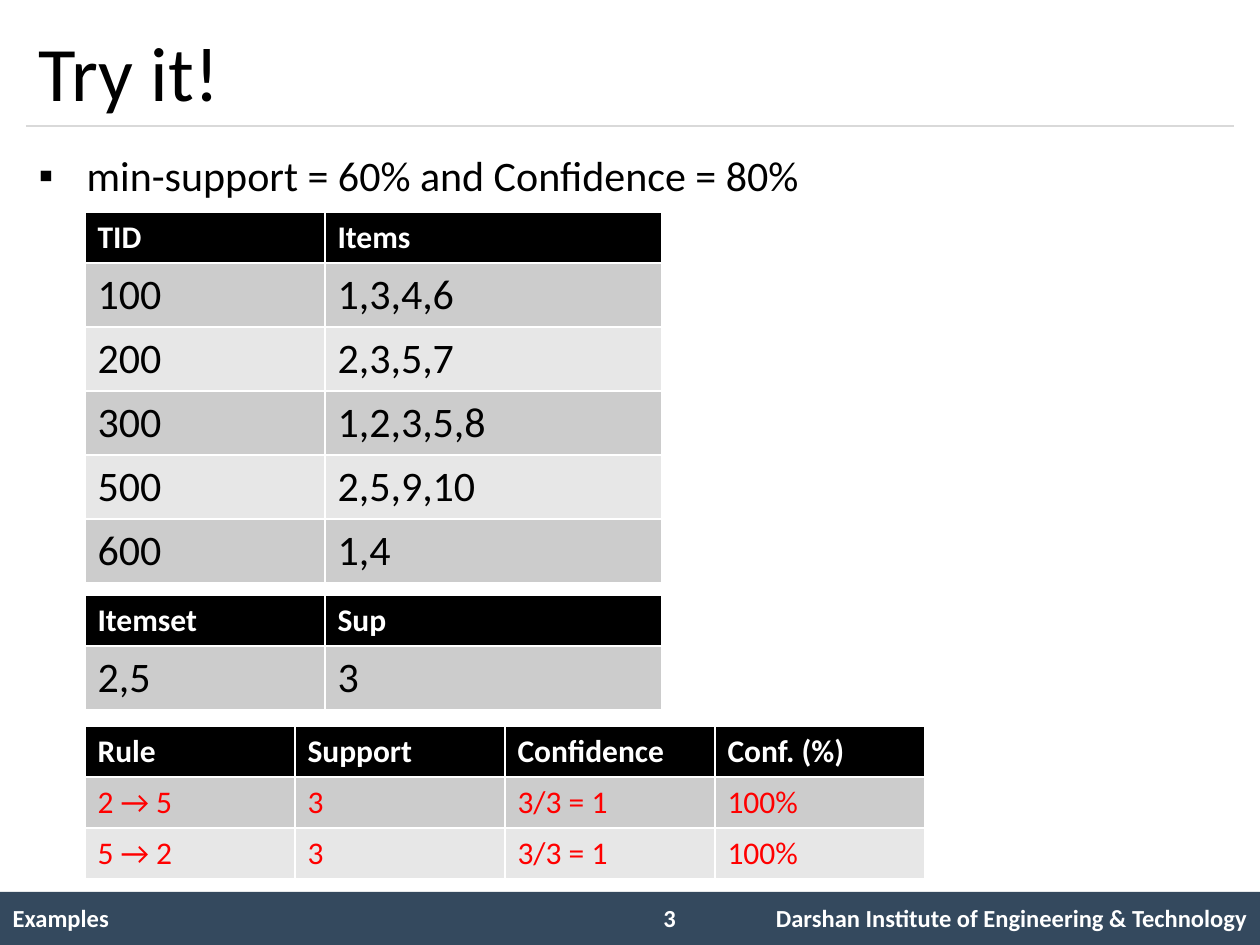
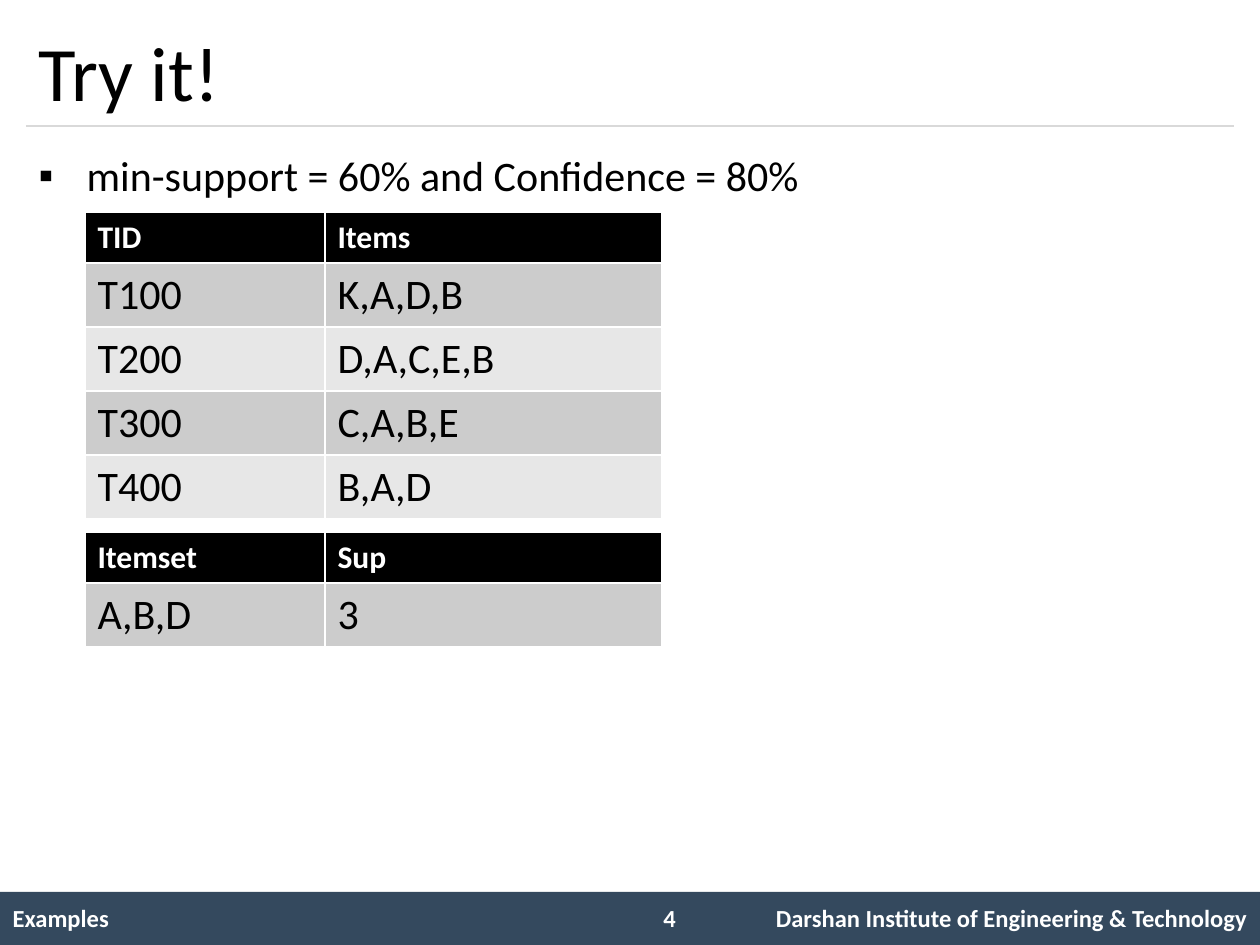
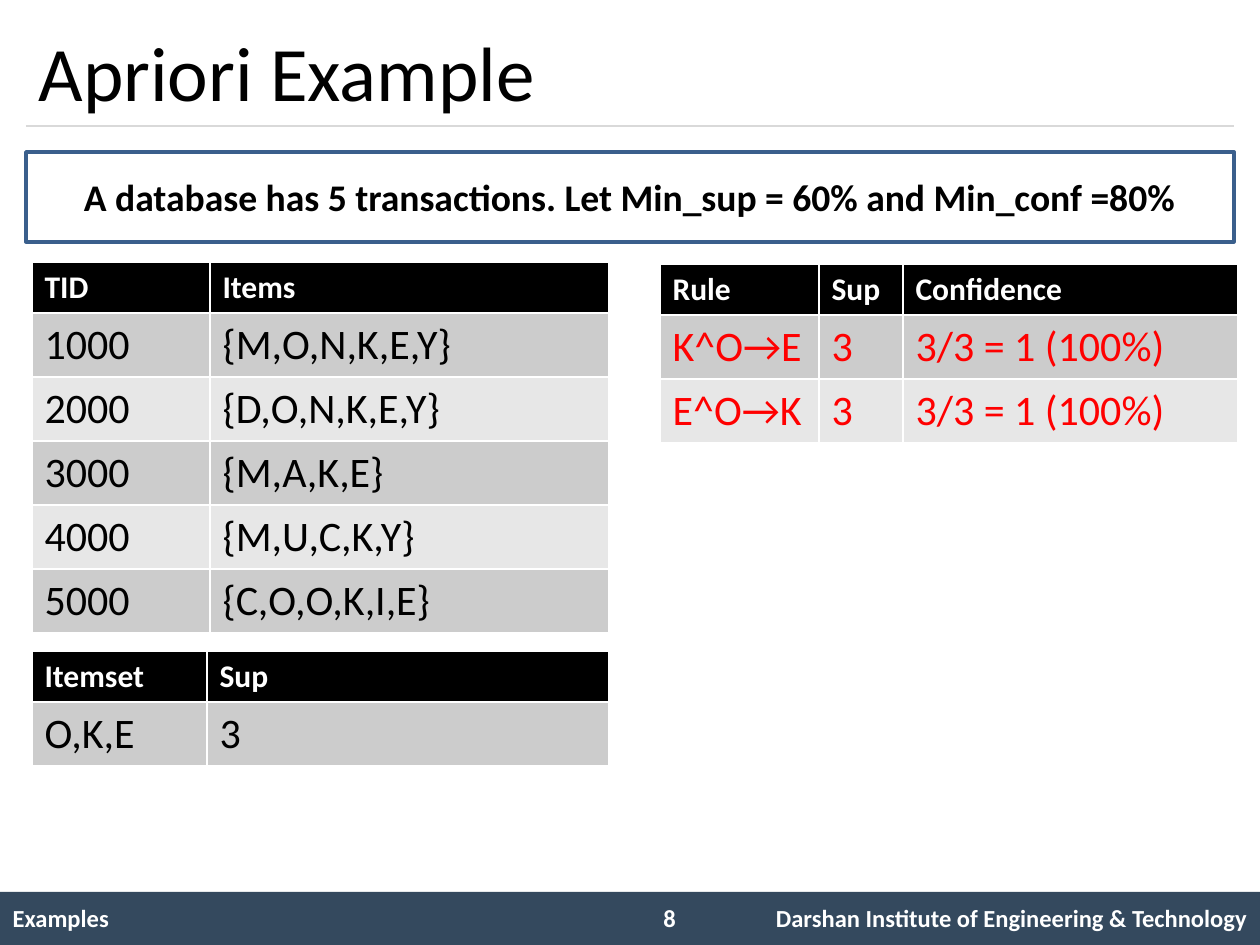
from pptx import Presentation
from pptx.dml.color import RGBColor
from pptx.enum.shapes import MSO_CONNECTOR as CONN, MSO_SHAPE as SHAPE
from pptx.enum.text import MSO_ANCHOR as ANCHOR, PP_ALIGN as ALIGN
from pptx.oxml.ns import qn
from pptx.util import Pt
from lxml.etree import SubElement

PX = 914400 // 126
FONT = "Calibri"
BLACK, WHITE, RED = "000000", "FFFFFF", "FF0000"
BAND, RULE, BOX_LINE = "34495E", "D9D9D9", "3A5F8C"
ROW_FILLS = ("E7E7E7", "CCCCCC")
NO_STYLE = "{2D5ABB26-0587-4C30-8999-92F81FD0307C}"
ROW_HEIGHT = {18: 51, 24: 64}

FOOTER = ("Examples", "", "Darshan Institute of Engineering & Technology")
FOOTER_COLS = (640, 84, 536)
THRESHOLDS = "min-support = 60% and Confidence = 80%"
WIDE = (240, 337)

SLIDES = [
    {"title": "Try it!", "number": 3, "bullet": THRESHOLDS, "tables": [
        {"at": (85, 212), "cols": WIDE, "rows": [
            ("TID", "Items"), ("100", "1,3,4,6"), ("200", "2,3,5,7"),
            ("300", "1,2,3,5,8"), ("500", "2,5,9,10"), ("600", "1,4")]},
        {"at": (85, 595), "cols": WIDE, "rows": [("Itemset", "Sup"), ("2,5", "3")]},
        {"at": (85, 726), "cols": (210,) * 4, "size": 18, "color": RED, "rows": [
            ("Rule", "Support", "Confidence", "Conf. (%)"),
            ("2 → 5", "3", "3/3 = 1", "100%"),
            ("5 → 2", "3", "3/3 = 1", "100%")]},
    ]},
    {"title": "Try it!", "number": 4, "bullet": THRESHOLDS, "tables": [
        {"at": (85, 212), "cols": WIDE, "rows": [
            ("TID", "Items"), ("T100", "K,A,D,B"), ("T200", "D,A,C,E,B"),
            ("T300", "C,A,B,E"), ("T400", "B,A,D")]},
        {"at": (85, 532), "cols": WIDE, "rows": [("Itemset", "Sup"), ("A,B,D", "3")]},
    ]},
    {"title": "Apriori Example", "number": 8,
     "box": "A database has 5 transactions. Let Min_sup = 60% and Min_conf =80%", "tables": [
        {"at": (32, 262), "cols": (178, 399), "rows": [
            ("TID", "Items"), ("1000", "{M,O,N,K,E,Y}"), ("2000", "{D,O,N,K,E,Y}"),
            ("3000", "{M,A,K,E}"), ("4000", "{M,U,C,K,Y}"), ("5000", "{C,O,O,K,I,E}")]},
        {"at": (32, 651), "cols": (175, 402), "rows": [("Itemset", "Sup"), ("O,K,E", "3")]},
        {"at": (660, 264), "cols": (159, 84, 335), "color": RED, "rows": [
            ("Rule", "Sup", "Confidence"),
            ("K^O→E", "3", "3/3 = 1 (100%)"),
            ("E^O→K", "3", "3/3 = 1 (100%)")]},
    ]},
]


def px(*values):
    return [v * PX for v in values]


def rgb(color):
    return RGBColor.from_string(color)


def write(tf, text, size, color, bold=False, align=ALIGN.LEFT):
    p = tf.paragraphs[0]
    p.alignment = align
    r = p.add_run()
    r.text = text
    r.font.name, r.font.size, r.font.bold = FONT, Pt(size), bold
    r.font.color.rgb = rgb(color)
    return p


def place(sp, *box):
    sp.left, sp.top, sp.width, sp.height = px(*box)


def add_rect(slide, box, fill, line=None):
    sp = slide.shapes.add_shape(SHAPE.RECTANGLE, *px(*box))
    sp.shadow.inherit = False
    sp.fill.solid()
    sp.fill.fore_color.rgb = rgb(fill)
    if line:
        sp.line.color.rgb = rgb(line)
        sp.line.width = Pt(2)
    else:
        sp.line.fill.background()
    return sp


def add_grid(slide, at, cols, heights):
    frame = slide.shapes.add_table(
        len(heights), len(cols), *px(*at, sum(cols), sum(heights)))
    table = frame.table
    for column, width in zip(table.columns, cols):
        column.width = width * PX
    for row, height in zip(table.rows, heights):
        row.height = height * PX
    return table


def add_data_table(slide, at, cols, rows, size=24, color=BLACK):
    heights = [ROW_HEIGHT[18]] + [ROW_HEIGHT[size]] * (len(rows) - 1)
    table = add_grid(slide, at, cols, heights)
    for i, row in enumerate(rows):
        for j, text in enumerate(row):
            cell = table.cell(i, j)
            cell.fill.solid()
            cell.fill.fore_color.rgb = rgb(ROW_FILLS[i % 2] if i else BLACK)
            if i:
                write(cell.text_frame, text, size, color)
            else:
                write(cell.text_frame, text, 18, WHITE, True)


def add_footer(slide, number):
    add_rect(slide, (0, 892, 1260, 53), BAND)
    table = add_grid(slide, (0, 892), FOOTER_COLS, [54])
    table.first_row = table.horz_banding = False
    table._tbl.tblPr.find(qn("a:tableStyleId")).text = NO_STYLE
    for cell, text, align in zip(table.rows[0].cells, FOOTER,
                                 (ALIGN.LEFT, ALIGN.CENTER, ALIGN.RIGHT)):
        cell.vertical_anchor = ANCHOR.MIDDLE
        if text:
            write(cell.text_frame, text, 14, WHITE, True, align)
    tf = slide.shapes.add_textbox(*px(651, 897, 73, 43)).text_frame
    tf.word_wrap = True
    write(tf, str(number), 14, WHITE, True)


def add_title(slide, text):
    title = slide.shapes.title
    place(title, 26, 15, 1208, 111)
    title.text_frame.vertical_anchor = ANCHOR.MIDDLE
    write(title.text_frame, text, 44, BLACK)
    rule = slide.shapes.add_connector(CONN.STRAIGHT, *px(26, 126, 1234, 126))
    rule.line.color.rgb = rgb(RULE)
    rule.line.width = Pt(0.75)
    SubElement(rule._element.spPr, qn("a:effectLst"))


def add_bullet(slide, text):
    body = slide.placeholders[1]
    place(body, 26, 136, 1208, 735)
    p = write(body.text_frame, text, 24, BLACK)
    pPr = p._p.get_or_add_pPr()
    pPr.set("marL", str(48 * PX))
    pPr.set("indent", str(-48 * PX))
    p.line_spacing = 1.14
    p.space_before = Pt(0)
    SubElement(pPr, qn("a:buFont"), typeface="Arial")
    SubElement(pPr, qn("a:buChar"), char="▪")


def add_statement(slide, text):
    sp = add_rect(slide, (26, 152, 1208, 90), WHITE, BOX_LINE)
    sp.text_frame.word_wrap = True
    sp.text_frame.vertical_anchor = ANCHOR.MIDDLE
    write(sp.text_frame, text, 21.5, BLACK, True, ALIGN.CENTER)


def main():
    prs = Presentation()
    prs.slide_width, prs.slide_height = px(1260, 945)
    for content in SLIDES:
        layout = prs.slide_layouts[1 if "bullet" in content else 5]
        slide = prs.slides.add_slide(layout)
        add_footer(slide, content["number"])
        add_title(slide, content["title"])
        if "bullet" in content:
            add_bullet(slide, content["bullet"])
        if "box" in content:
            add_statement(slide, content["box"])
        for table in content["tables"]:
            add_data_table(slide, **table)
    prs.save("out.pptx")


if __name__ == "__main__":
    main()
